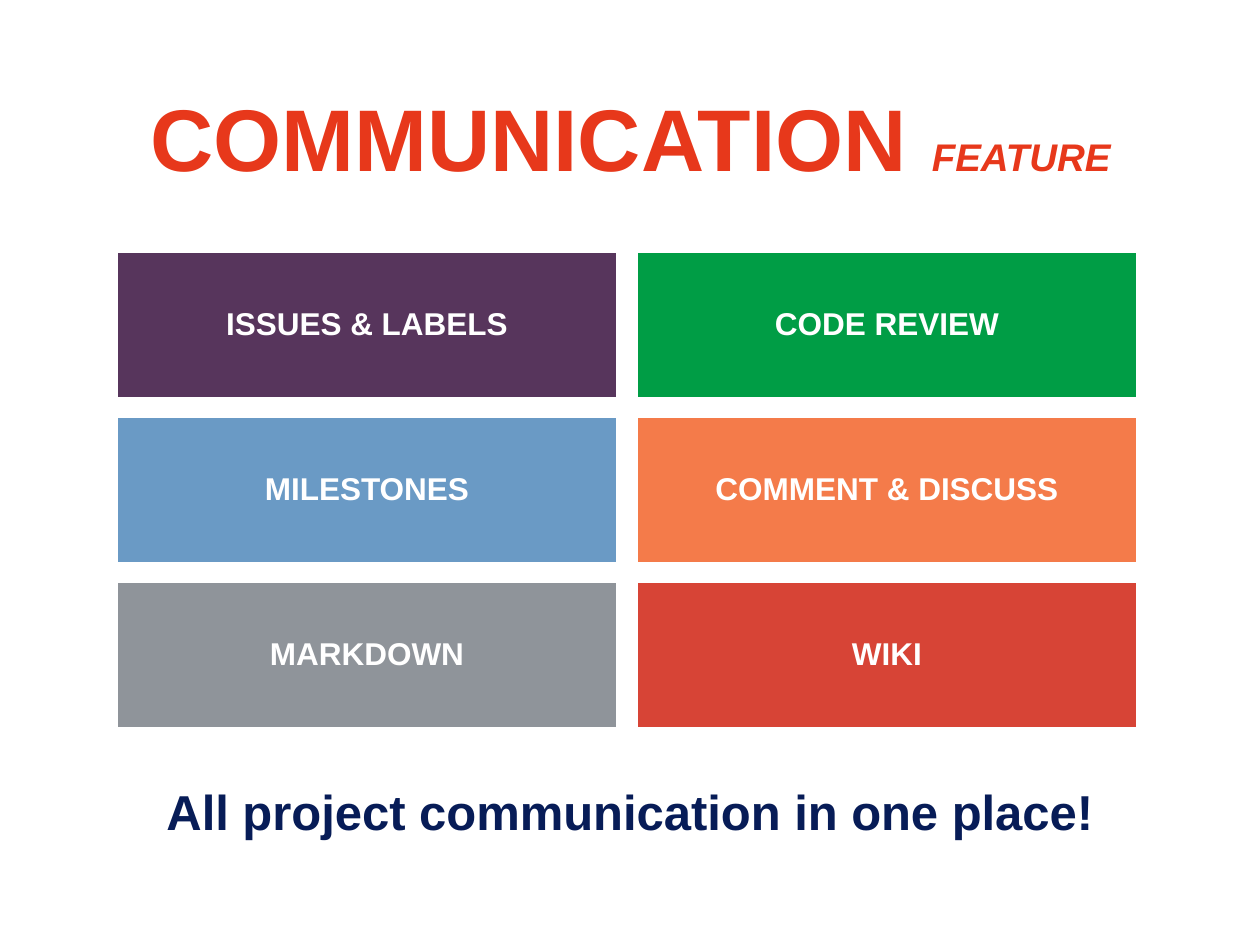
from dataclasses import dataclass

from lxml import etree
from pptx import Presentation
from pptx import util as u
from pptx.dml.color import RGBColor
from pptx.enum import shapes, text
from pptx.oxml.ns import qn

EMU_PER_PX = 914400 / 126


@dataclass(frozen=True)
class Theme:
    font: str = "Arial"
    white: str = "FFFFFF"
    title: str = "E7381B"
    tagline: str = "071C57"
    title_size: int = 50
    subtitle_size: int = 22
    tile_size: int = 18
    tagline_size: int = 28


@dataclass(frozen=True)
class Tile:
    label: str
    fill: str
    opacity: int = 100


@dataclass(frozen=True)
class Grid:
    left: int = 117
    top: int = 252
    width: int = 500
    height: int = 146
    column_step: int = 520
    row_step: int = 165
    columns: int = 2


THEME = Theme()
GRID = Grid()
TILES = [
    Tile("ISSUES & LABELS", "57355C"),
    Tile("CODE REVIEW", "009D45"),
    Tile("MILESTONES", "6A9AC5"),
    Tile("COMMENT & DISCUSS", "F47B4A"),
    Tile("MARKDOWN", "8F949A"),
    Tile("WIKI", "D33021", opacity=90),
]


def px(length: int) -> u.Emu:
    return u.Emu(round(length * EMU_PER_PX))


def add_span(para, words: str, size: int, color: str, italic: bool = False) -> None:
    span = para.add_run()
    span.text = words
    span.font.name = THEME.font
    span.font.size = u.Pt(size)
    span.font.bold = True
    span.font.italic = italic
    span.font.color.rgb = RGBColor.from_string(color)


def first_paragraph(box):
    frame = box.text_frame
    frame.word_wrap = True
    frame.vertical_anchor = text.MSO_ANCHOR.MIDDLE
    para = frame.paragraphs[0]
    para.alignment = text.PP_ALIGN.CENTER
    return para


def add_title(page) -> None:
    title = page.shapes.title
    title.left, title.top, title.width, title.height = map(px, (53, 53, 1155, 168))
    para = first_paragraph(title)
    title.text_frame.auto_size = text.MSO_AUTO_SIZE.NONE
    add_span(para, "COMMUNICATION ", THEME.title_size, THEME.title)
    add_span(para, "FEATURE", THEME.subtitle_size, THEME.title, italic=True)


def add_tile(page, tile: Tile, row: int, column: int) -> None:
    left = GRID.left + column * GRID.column_step
    top = GRID.top + row * GRID.row_step
    box = page.shapes.add_shape(
        shapes.MSO_SHAPE.RECTANGLE, px(left), px(top), px(GRID.width), px(GRID.height)
    )
    box.shadow.inherit = False
    box.fill.solid()
    box.fill.fore_color.rgb = RGBColor.from_string(tile.fill)
    if tile.opacity < 100:
        color = box.fill._xPr.find(qn("a:solidFill"))[0]
        etree.SubElement(color, qn("a:alpha"), val=str(tile.opacity * 1000))
    box.line.color.rgb = RGBColor.from_string(THEME.white)
    box.line.width = u.Pt(1)
    box.text_frame.margin_top = px(4)
    box.text_frame.margin_bottom = px(8)
    add_span(first_paragraph(box), tile.label, THEME.tile_size, THEME.white)


def add_tagline(page) -> None:
    box = page.shapes.add_textbox(px(141), px(775), px(978), px(72))
    words = "All project communication in one place!"
    add_span(first_paragraph(box), words, THEME.tagline_size, THEME.tagline)


def main() -> None:
    deck = Presentation()
    deck.slide_width, deck.slide_height = px(1260), px(945)
    page = deck.slides.add_slide(deck.slide_layouts.get_by_name("Title Only"))
    add_title(page)
    for index, tile in enumerate(TILES):
        add_tile(page, tile, *divmod(index, GRID.columns))
    add_tagline(page)
    deck.save("out.pptx")


if __name__ == "__main__":
    main()
